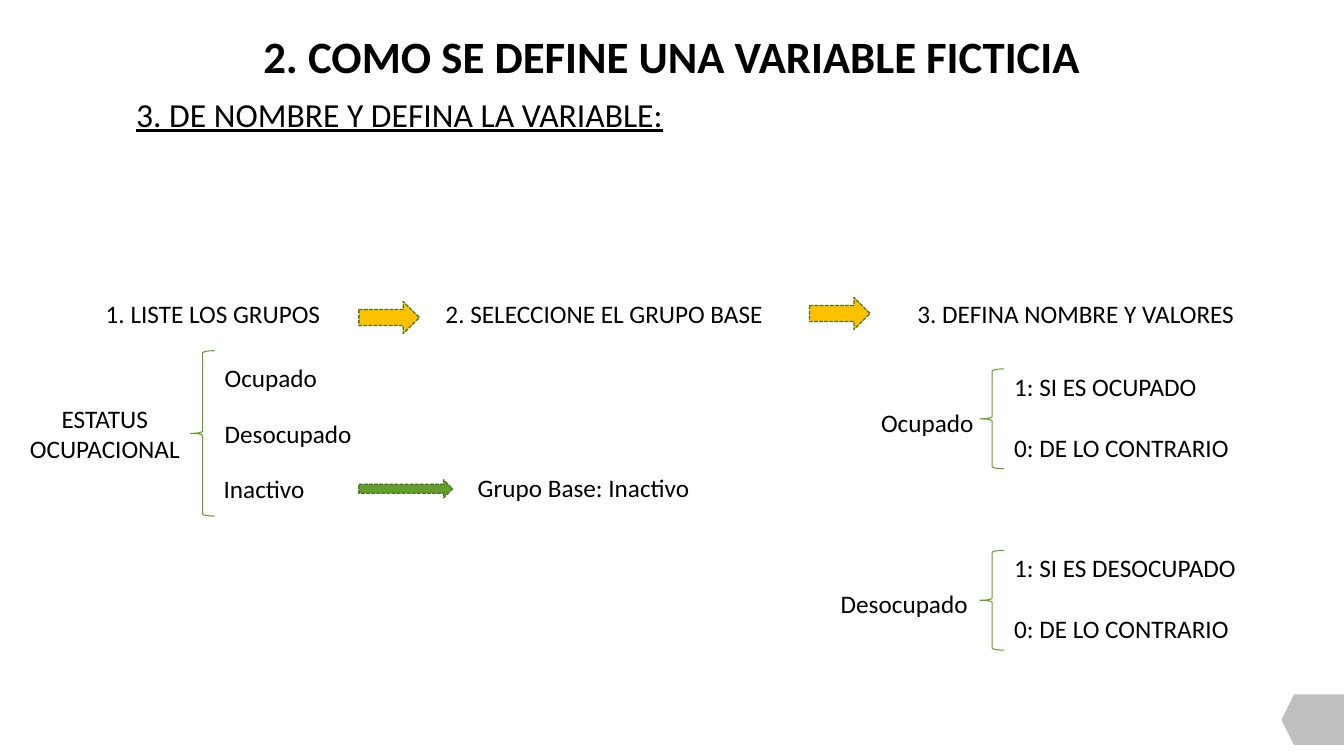
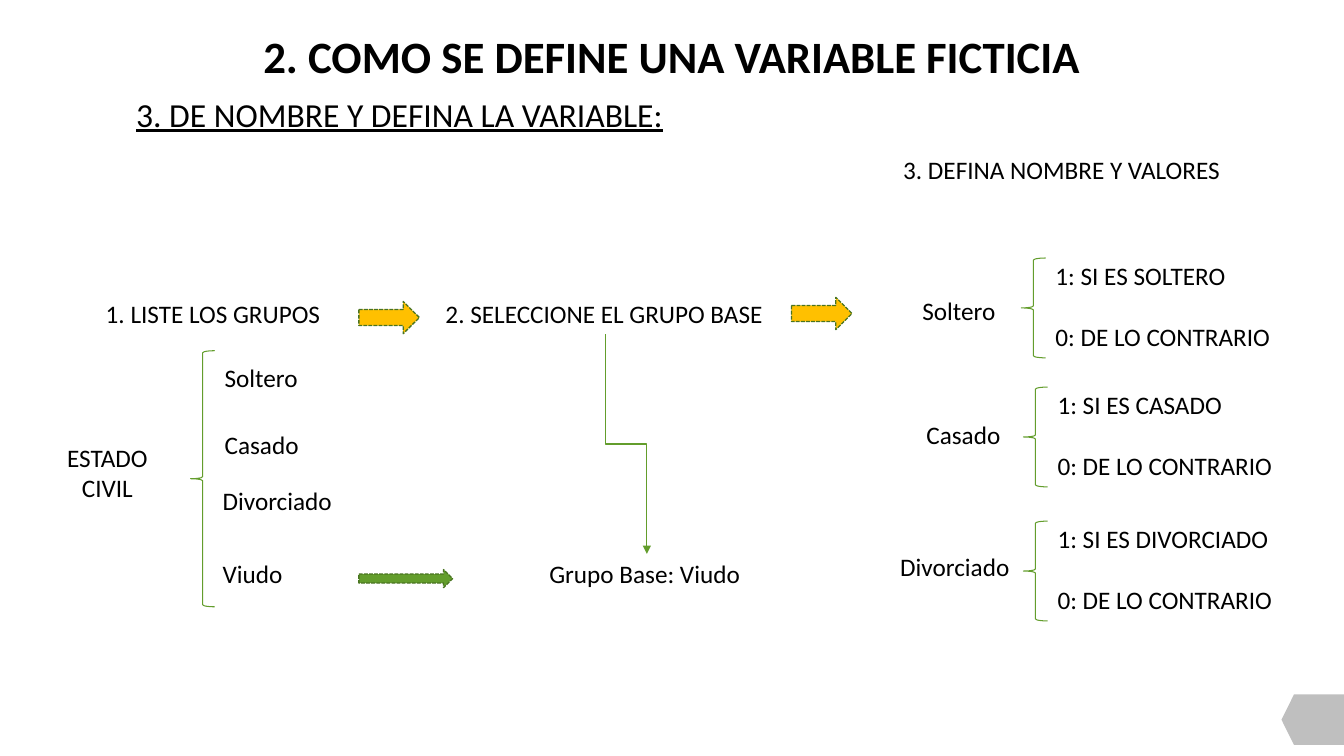
from lxml import etree
from pptx import Presentation
from pptx.dml.color import RGBColor
from pptx.enum.dml import MSO_LINE
from pptx.enum.shapes import MSO_CONNECTOR, MSO_SHAPE
from pptx.enum.text import MSO_ANCHOR, MSO_AUTO_SIZE, PP_ALIGN
from pptx.oxml.ns import qn
from pptx.util import Inches, Pt

# Shared style
FONT = "Calibri"
BLACK, GREEN, DARK, GOLD, GREY = "000000", "639D2C", "497421", "FFC000", "BFBFBF"
hue = RGBColor.from_string
ROW = 0.4
WIDE = {"Ocupado": 1.13, "Desocupado": 1.48, "Inactivo": 1.01, "Soltero": 0.93,
        "Casado": 0.94, "Divorciado": 1.3, "Viudo": 0.8}

prs = Presentation()
prs.slide_width, prs.slide_height = Inches(13.33), Inches(7.5)


def write(slide, text, x, y, w, h=ROW, box=None, size=18, bold=False, under=False,
          align=PP_ALIGN.LEFT, wrap=False, fit=True, pad=(0.1, 0.05), gap=0):
    """Put text in the given placeholder, or in a new text box."""
    box = box or slide.shapes.add_textbox(0, 0, 0, 0)
    frame = box.text_frame
    frame.text = text
    frame.word_wrap = wrap
    frame.auto_size = MSO_AUTO_SIZE.SHAPE_TO_FIT_TEXT if fit else MSO_AUTO_SIZE.NONE
    frame.vertical_anchor = MSO_ANCHOR.TOP
    frame.margin_left = frame.margin_right = Inches(pad[0])
    frame.margin_top = frame.margin_bottom = Inches(pad[1])
    box.left, box.top, box.width, box.height = [Inches(n) for n in (x, y, w, h)]
    for par in frame.paragraphs:
        par.alignment = align
        par.space_before = Pt(0)
        par.space_after = Pt(gap)
        font = par.font
        font.name, font.size, font.bold, font.underline = FONT, Pt(size), bold, under
        font.color.rgb = hue(BLACK)


def draw(slide, kind, x, y, w, h, fill=None, line=None, width=0.75, dash=None):
    """Add a preset shape without shadow."""
    shape = slide.shapes.add_shape(kind, Inches(x), Inches(y), Inches(w), Inches(h))
    shape.shadow.inherit = False
    if fill:
        shape.fill.solid()
        shape.fill.fore_color.rgb = hue(fill)
    else:
        shape.fill.background()
    if line:
        shape.line.color.rgb = hue(line)
        shape.line.width = Pt(width)
        shape.line.dash_style = dash
    else:
        shape.line.fill.background()
    return shape


# What differs: topic, group list, base group, step arrow, step 3, variables
pages = [
    dict(topic=("ESTATUS\nOCUPACIONAL", 0.19, 3.95, 1.7), tall=1.64,
         groups=[("Ocupado", 2.13, 3.55), ("Desocupado", 2.13, 4.1),
                 ("Inactivo", 2.12, 4.65)],
         base=("Grupo Base: Inactivo", 4.64, 4.64, 2.33), point=4.76,
         step=8.03, head=(9, 2.91),
         dummies=[("Ocupado", 8.64, 3.99, 9.72, 3.66, 2.35),
                  ("Desocupado", 8.24, 5.79, 9.72, 5.46, 2.42)]),
    dict(topic=("ESTADO\nCIVIL", 0.56, 4.34, 1.01), tall=2.54,
         groups=[("Soltero", 2.13, 3.55), ("Casado", 2.13, 4.21),
                 ("Divorciado", 2.11, 4.77), ("Viudo", 2.11, 5.49)],
         base=("Grupo Base: Viudo", 5.35, 5.49, 2.12), point=5.65,
         step=7.85, head=(8.86, 1.48),
         dummies=[("Soltero", 9.05, 2.88, 10.13, 2.56, 2.35),
                  ("Casado", 9.09, 4.11, 10.15, 3.84, 2.42),
                  ("Divorciado", 8.83, 5.42, 10.15, 5.17, 2.42)]),
]

for page in pages:
    slide = prs.slides.add_slide(prs.slide_layouts[5])

    # Corner tag, title and subtitle
    tag = draw(slide, MSO_SHAPE.FLOWCHART_OFFPAGE_CONNECTOR, 12.77, 6.83, 0.5, 0.62, GREY)
    tag.rotation = 90
    write(slide, "2. COMO SE DEFINE UNA VARIABLE FICTICIA", 1.89, 0.23, 9.55, 0.64,
          box=slide.shapes.title, size=32, bold=True, align=PP_ALIGN.CENTER, wrap=True)
    write(slide, "3. DE NOMBRE Y DEFINA LA VARIABLE:", 1.22, 0.86, 10.49, 0.65,
          size=24, under=True, wrap=True, fit=False, pad=(0.13, 0.07))

    # Step headings and the arrows between them
    write(slide, "1. LISTE LOS GRUPOS", 0.95, 2.91, 2.35)
    write(slide, "2. SELECCIONE EL GRUPO BASE", 4.32, 2.91, 3.38)
    write(slide, "3. DEFINA NOMBRE Y VALORES", *page["head"], 3.37)
    for x, y, w, h, fill in [(3.56, 2.99, 0.6, 0.32, GOLD),
                             (page["step"], 2.95, 0.6, 0.32, GOLD),
                             (3.56, page["point"], 0.93, 0.18, GREEN)]:
        draw(slide, MSO_SHAPE.RIGHT_ARROW, x, y, w, h, fill, DARK, 0.9, MSO_LINE.SQUARE_DOT)

    # Topic, its groups and the base group
    write(slide, *page["topic"], h=0.71, align=PP_ALIGN.CENTER)
    draw(slide, MSO_SHAPE.LEFT_BRACE, 1.89, 3.48, 0.24, page["tall"], line=GREEN)
    for name, x, y in page["groups"]:
        write(slide, name, x, y, WIDE[name])
    write(slide, *page["base"])

    # Dummy variables and their values
    for name, x, y, left, top, w in page["dummies"]:
        write(slide, name, x, y, WIDE[name])
        draw(slide, MSO_SHAPE.LEFT_BRACE, left, top, 0.24, 0.99, line=GREEN)
        write(slide, f"1: SI ES {name.upper()}\n0: DE LO CONTRARIO",
              left + 0.24, top - 0.03, w, 1.01, gap=22)

# Elbow arrow from step 2 down to the base group, last slide only
# (laid out sideways, then turned so that it leaves downwards)
elbow = slide.shapes.add_connector(MSO_CONNECTOR.ELBOW, Inches(7.3), Inches(4.2),
                                   Inches(5.12), Inches(4.61))
elbow.line.color.rgb = hue(GREEN)
elbow.line.width = Pt(0.75)
props = elbow.element.spPr
props.find(qn("a:xfrm")).set("rot", str(270 * 60000))
etree.SubElement(props.find(qn("a:ln")), qn("a:tailEnd"), type="triangle")
etree.SubElement(props, qn("a:effectLst"))

prs.save("out.pptx")
